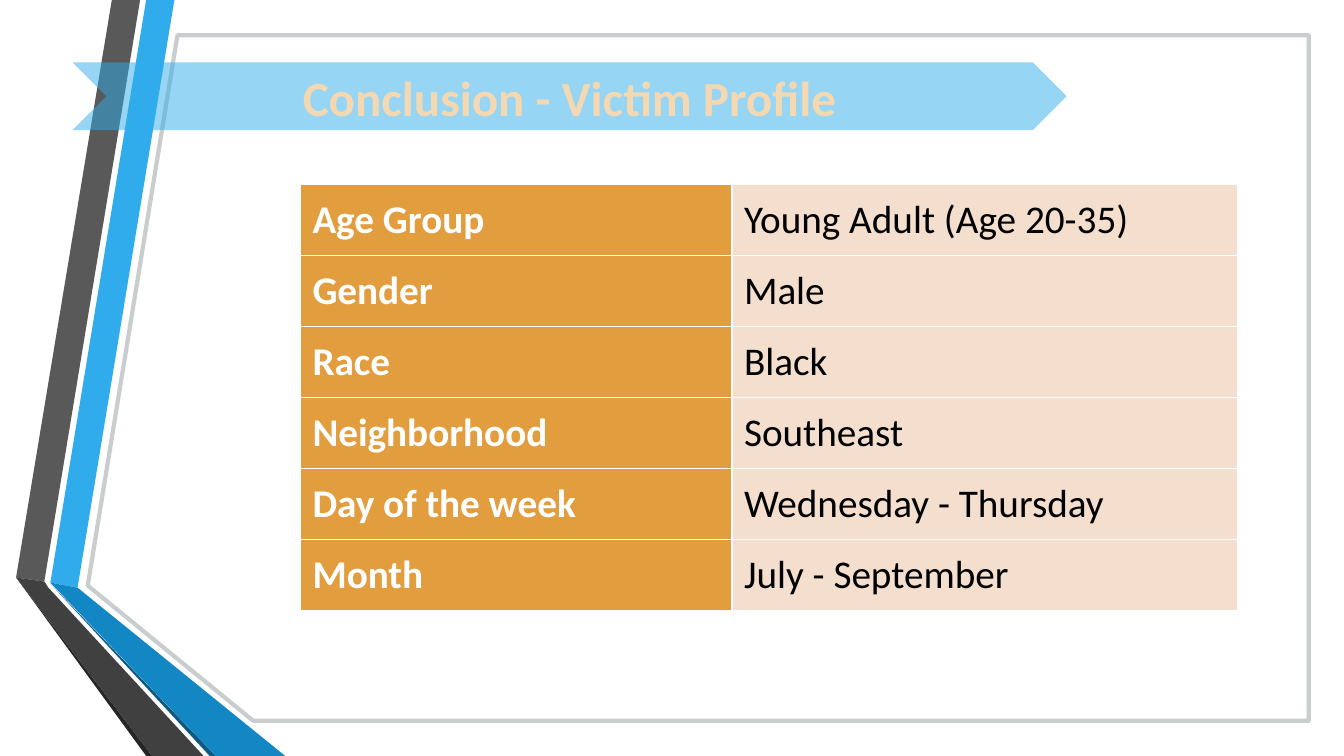
from dataclasses import dataclass

from lxml import etree
from pptx import Presentation
from pptx.dml.color import RGBColor
from pptx.enum.dml import MSO_PATTERN
from pptx.enum.shapes import MSO_SHAPE
from pptx.enum.text import MSO_ANCHOR, PP_ALIGN
from pptx.oxml.ns import qn
from pptx.util import Inches, Pt

CHEVRON = MSO_SHAPE.CHEVRON
STRIPES = MSO_PATTERN.NARROW_HORIZONTAL
MIDDLE = MSO_ANCHOR.MIDDLE
LEFT, CENTER = PP_ALIGN.LEFT, PP_ALIGN.CENTER

GRID_COLUMNS, GRID_ROWS = 1333, 750
GRID_UNIT = Inches(0.01)


@dataclass(frozen=True)
class Theme:
    font: str = "Calibri"
    title_size: float = 35.1
    table_size: float = 28
    white: str = "FFFFFF"
    black: str = "000000"
    blue: str = "30ACEC"
    blue_fold: str = "1287C3"
    blue_edge: str = "0C5A82"
    gray: str = "595959"
    gray_fold: str = "404040"
    gray_edge: str = "262626"
    frame: str = "979D9F"
    label: str = "E29D3E"
    value: str = "F4DFCE"
    title: str = "F3D8B2"
    title_stripe: str = "E29D3E"
    title_edge: str = "7D5013"


THEME = Theme()

RIBBONS = [
    (THEME.blue, [(50, 578), (77, 583), (173, 0), (145, 0)]),
    (THEME.gray, [(139, 0), (111, 0), (16, 573), (44, 577)]),
    (THEME.gray_edge, [(16, 573), (145, 750), (151, 750)]),
    (THEME.blue_edge, [(50, 579), (208, 750), (214, 750)]),
    (THEME.blue_fold, [(50, 578), (214, 750), (283, 750), (77, 583)]),
    (THEME.gray_fold, [(16, 573), (151, 750), (202, 750), (48, 583), (44, 577)]),
]
FRAME = [(176, 35), (1298, 35), (1298, 715), (251, 715), (87, 581)]

PROFILE = [
    ("Age Group", "Young Adult (Age 20-35)"),
    ("Gender", "Male"),
    ("Race", "Black"),
    ("Neighborhood", "Southeast"),
    ("Day of the week", "Wednesday - Thursday"),
    ("Month", "July - September"),
]
PROFILE_COLUMNS = (428, 502)
PROFILE_ROW = 70.5


def grid(*counts):
    return [int(count * GRID_UNIT) for count in counts]


def rgb(color):
    return RGBColor.from_string(color)


def set_opacity(fill_parent, percent):
    color = fill_parent.find(".//" + qn("a:srgbClr"))
    etree.SubElement(color, qn("a:alpha"), val=str(percent * 1000))


def add_line(parent, tag, color):
    line = etree.SubElement(parent, qn(tag), w=str(Pt(1)))
    fill = etree.SubElement(line, qn("a:solidFill"))
    etree.SubElement(fill, qn("a:srgbClr"), val=color)


def write_text(frame, text, *, size, color, bold=False, align=LEFT,
               stripe=None, edge=None):
    paragraph = frame.paragraphs[0]
    paragraph.alignment = align
    run = paragraph.add_run()
    run.text = text
    font = run.font
    font.size = Pt(size)
    font.bold = bold
    if edge:
        add_line(run._r.get_or_add_rPr(), "a:ln", edge)
    if stripe:
        font.fill.patterned()
        font.fill.pattern = STRIPES
        font.fill.fore_color.rgb = rgb(stripe)
        font.fill.back_color.rgb = rgb(color)
    else:
        font.color.rgb = rgb(color)
    font.name = THEME.font


def add_outline(slide, points, fill, line=None):
    builder = slide.shapes.build_freeform(*points[0], scale=GRID_UNIT)
    builder.add_line_segments(points[1:], close=True)
    outline = builder.convert_to_shape()
    outline.shadow.inherit = False
    outline.fill.solid()
    outline.fill.fore_color.rgb = rgb(fill)
    if line:
        outline.line.color.rgb = rgb(line)
        outline.line.width = Pt(3)
        set_opacity(outline.line._get_or_add_ln(), 50)
    else:
        outline.line.fill.background()


def add_title_banner(slide, text):
    banner = slide.shapes.add_shape(CHEVRON, *grid(72, 62, 986, 67))
    banner.shadow.inherit = False
    banner.fill.solid()
    banner.fill.fore_color.rgb = rgb(THEME.blue)
    set_opacity(banner._element.spPr, 50)
    banner.line.fill.background()
    frame = banner.text_frame
    frame.vertical_anchor = MIDDLE
    frame.margin_top, frame.margin_bottom = grid(5, 3)
    write_text(frame, text, size=THEME.title_size, color=THEME.title,
               bold=True, align=CENTER, stripe=THEME.title_stripe,
               edge=THEME.title_edge)


def fill_cell(cell, text, *, fill, color, bold):
    for side in ("a:lnL", "a:lnR", "a:lnT", "a:lnB"):
        add_line(cell._tc.get_or_add_tcPr(), side, THEME.white)
    cell.fill.solid()
    cell.fill.fore_color.rgb = rgb(fill)
    cell.margin_left, cell.margin_right = grid(12, 12)
    cell.margin_top, cell.margin_bottom = grid(11, 11)
    cell.vertical_anchor = MIDDLE
    write_text(cell.text_frame, text, size=THEME.table_size,
               color=color, bold=bold)


def add_profile_table(slide, profile):
    area = grid(298, 183, sum(PROFILE_COLUMNS), PROFILE_ROW * len(profile))
    table = slide.shapes.add_table(len(profile), 2, *area).table
    table.first_row = False
    table.horz_banding = False
    for column, width in zip(table.columns, grid(*PROFILE_COLUMNS)):
        column.width = width
    for row, (label, value) in enumerate(profile):
        fill_cell(table.cell(row, 0), label, fill=THEME.label,
                  color=THEME.white, bold=True)
        fill_cell(table.cell(row, 1), value, fill=THEME.value,
                  color=THEME.black, bold=False)


def main():
    deck = Presentation()
    deck.slide_width, deck.slide_height = grid(GRID_COLUMNS, GRID_ROWS)
    slide = deck.slides.add_slide(deck.slide_layouts[6])
    for color, points in RIBBONS:
        add_outline(slide, points, color)
    add_outline(slide, FRAME, THEME.white, THEME.frame)
    add_profile_table(slide, PROFILE)
    add_title_banner(slide, "Conclusion - Victim Profile")
    deck.save("out.pptx")


if __name__ == "__main__":
    main()
